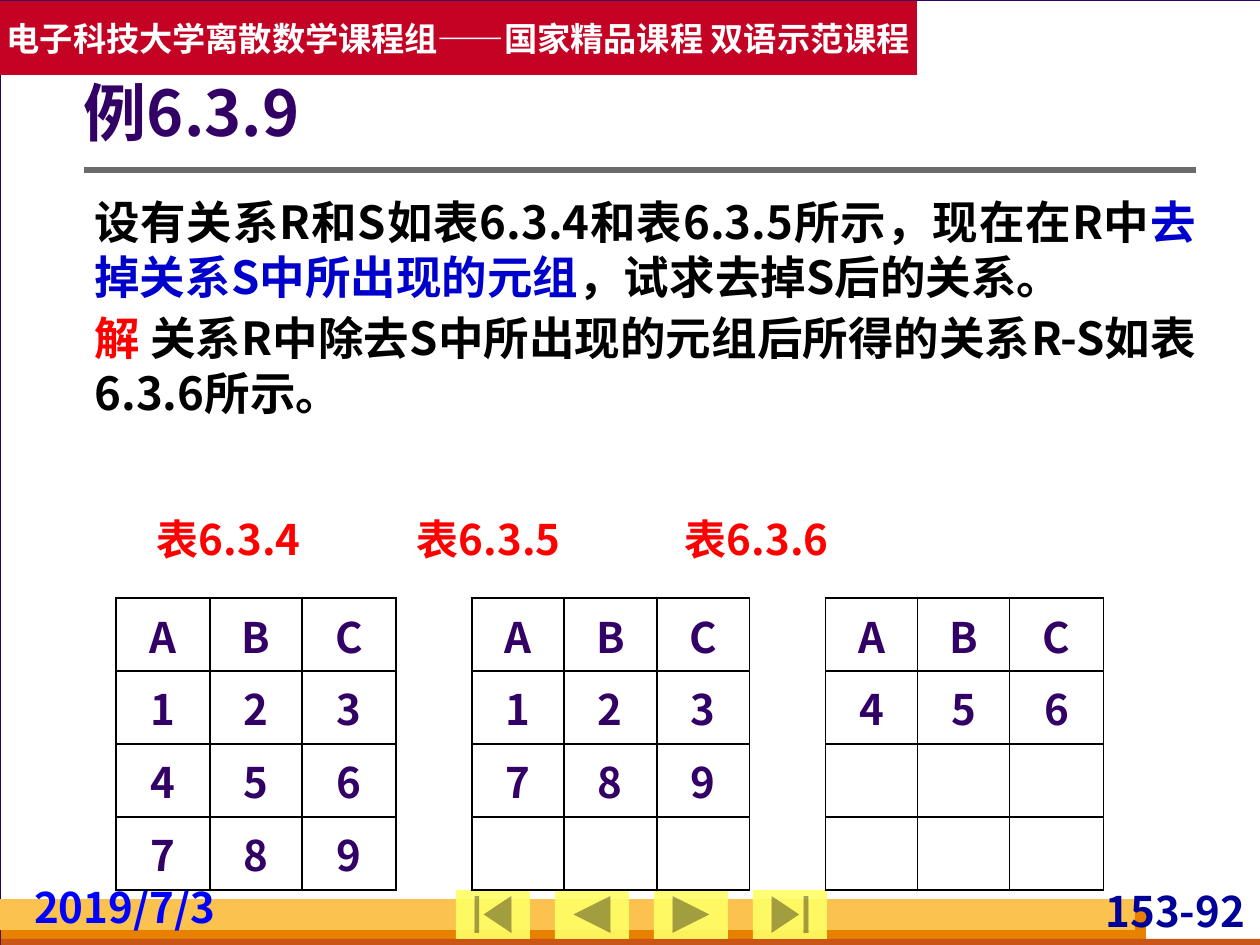
"""Build the slide for example 6.3.9 on the difference of two relations."""
from lxml.etree import SubElement
from pptx import Presentation
from pptx.dml.color import RGBColor
from pptx.enum.shapes import MSO_CONNECTOR, MSO_SHAPE
from pptx.enum.text import MSO_ANCHOR, PP_ALIGN
from pptx.oxml import parse_xml
from pptx.oxml.ns import nsdecls, qn
from pptx.util import Pt

SCALE = 914400 / 126
FONT = "Noto Sans CJK SC"
color = RGBColor.from_string


def px(*lengths):
    """Turn pixel lengths into EMU."""
    return [round(length * SCALE) for length in lengths]


def write(para, text, size=24, fill="330066", align=PP_ALIGN.LEFT):
    """Add a bold run of text to a paragraph."""
    para.alignment = align
    span = para.add_run()
    span.text = text
    span.font.size = Pt(size)
    span.font.bold = True
    span.font.name = FONT
    span.font.color.rgb = color(fill)
    SubElement(span.font._element, qn("a:ea"), typeface=FONT)


deck = Presentation()
deck.slide_width, deck.slide_height = px(1260, 945)
page = deck.slides.add_slide(deck.slide_layouts[6])
page.background.fill.solid()
page.background.fill.fore_color.rgb = color("D8DADA")

panels = [
    (0, 0, 1261, 945, "FFFFFF"),
    (0, 1, 917, 74, "C30224"),
    (1, 910, 1145, 35, "E88000"),
    (1, 939, 1260, 10, "C95616"),
    (0, 899, 1135, 31, "FCC24F"),
]
shapes = []
for *place, fill in panels:
    panel = page.shapes.add_shape(MSO_SHAPE.RECTANGLE, *px(*place))
    panel.shadow.inherit = False
    panel.fill.solid()
    panel.fill.fore_color.rgb = color(fill)
    panel.line.fill.background()
    shapes.append(panel)
frame, banner = shapes[:2]
frame.line.color.rgb = color("330066")
frame.line.width = Pt(0.75)
banner.text_frame.word_wrap = False
banner.text_frame.vertical_anchor = MSO_ANCHOR.MIDDLE
write(banner.text_frame.paragraphs[0], "电子科技大学离散数学课程组——国家精品课程 双语示范课程",
      size=19, fill="FFFFFF", align=PP_ALIGN.CENTER)

left, top, right = px(84, 170, 1196)
rule = page.shapes.add_connector(MSO_CONNECTOR.STRAIGHT, left, top, right, top)
rule.line.color.rgb = color("6B6B6B")
rule.line.width = Pt(3)
SubElement(rule._element.spPr, qn("a:effectLst"))

buttons = [
    MSO_SHAPE.ACTION_BUTTON_BEGINNING,
    MSO_SHAPE.ACTION_BUTTON_BACK_OR_PREVIOUS,
    MSO_SHAPE.ACTION_BUTTON_FORWARD_OR_NEXT,
    MSO_SHAPE.ACTION_BUTTON_END,
]
for index, kind in enumerate(buttons):
    button = page.shapes.add_shape(kind, *px(456 + 99 * index, 890, 74, 49))
    button.shadow.inherit = False
    button.fill.solid()
    button.fill.fore_color.rgb = color("FFFF66")
    tint = button._element.spPr.find(".//" + qn("a:srgbClr"))
    SubElement(tint, qn("a:alpha"), val="90000")
    button.line.fill.background()

labels = [
    ("153-92", (1067, 886, 183, 61), (5, 0, 5, 0), 24, "000099", PP_ALIGN.RIGHT),
    ("2019/7/3", (29, 882, 208, 61), (5, 0, 5, 0), 24, "0000FF", PP_ALIGN.LEFT),
    ("例6.3.9", (84, 76, 1111, 80), (0, 6, 13, 6), 36, "330066", PP_ALIGN.LEFT),
    ("表6.3.4\t表6.3.5\t表6.3.6", (144, 508, 973, 74), (13, 6, 13, 6), 24, "FF0000", PP_ALIGN.LEFT),
]
for text, place, margins, size, fill, align in labels:
    box = page.shapes.add_textbox(*px(*place)).text_frame
    box.word_wrap = True
    box.margin_left, box.margin_top, box.margin_right, box.margin_bottom = px(*margins)
    para = box.paragraphs[0]
    if "\t" in text:
        tabs = SubElement(para._p.get_or_add_pPr(), qn("a:tabLst"))
        for stop in px(260, 528):
            SubElement(tabs, qn("a:tab"), pos=str(stop), algn="l")
    if size == 36:
        box.vertical_anchor = MSO_ANCHOR.MIDDLE
        para.line_spacing = 0.9
    write(para, text, size=size, fill=fill, align=align)

body = page.shapes.add_textbox(*px(82, 188, 1126, 286)).text_frame
body.word_wrap = True
problem, answer = body.paragraphs[0], body.add_paragraph()
answer.space_before = Pt(4)
for para, text, fill in [
    (problem, "设有关系R和S如表6.3.4和表6.3.5所示，现在在R中", "000000"),
    (problem, "去掉关系S中所出现的元组", "0000CC"),
    (problem, "，试求去掉S后的关系。", "000000"),
    (answer, "解 ", "FF0000"),
    (answer, "关系R中除去S中所出现的元组后所得的关系R-S如表6.3.6所示。", "000000"),
]:
    write(para, text, size=26, fill=fill, align=PP_ALIGN.JUSTIFY)

rows = ["ABC ABC ABC", "123 123 456", "456 789    ", "789        "]
widths = px(94, 92, 94, 76, 92, 93, 93, 76, 92, 92, 94)
graphic = page.shapes.add_table(len(rows), len(widths), *px(116, 598, 988, 292))
table = graphic.table
table.first_row = table.horz_banding = False
table._tbl.tblPr.find(qn("a:tableStyleId")).text = "{2D5ABB26-0587-4C30-8999-92F81FD0307C}"
for column, width in zip(table.columns, widths):
    column.width = width
for row_index, row in enumerate(rows):
    for column_index, text in enumerate(row):
        cell = table.cell(row_index, column_index)
        cell.fill.background()
        cell.vertical_anchor = MSO_ANCHOR.MIDDLE
        sides = "LR" if column_index in (3, 7) else "LRTB"
        for position, side in enumerate(sides):
            cell._tc.tcPr.insert(position, parse_xml(
                f'<a:ln{side} {nsdecls("a")} w="12700"><a:solidFill>'
                f'<a:srgbClr val="000000"/></a:solidFill></a:ln{side}>'))
        if text != " ":
            write(cell.text_frame.paragraphs[0], text, align=PP_ALIGN.CENTER)

deck.save("out.pptx")
